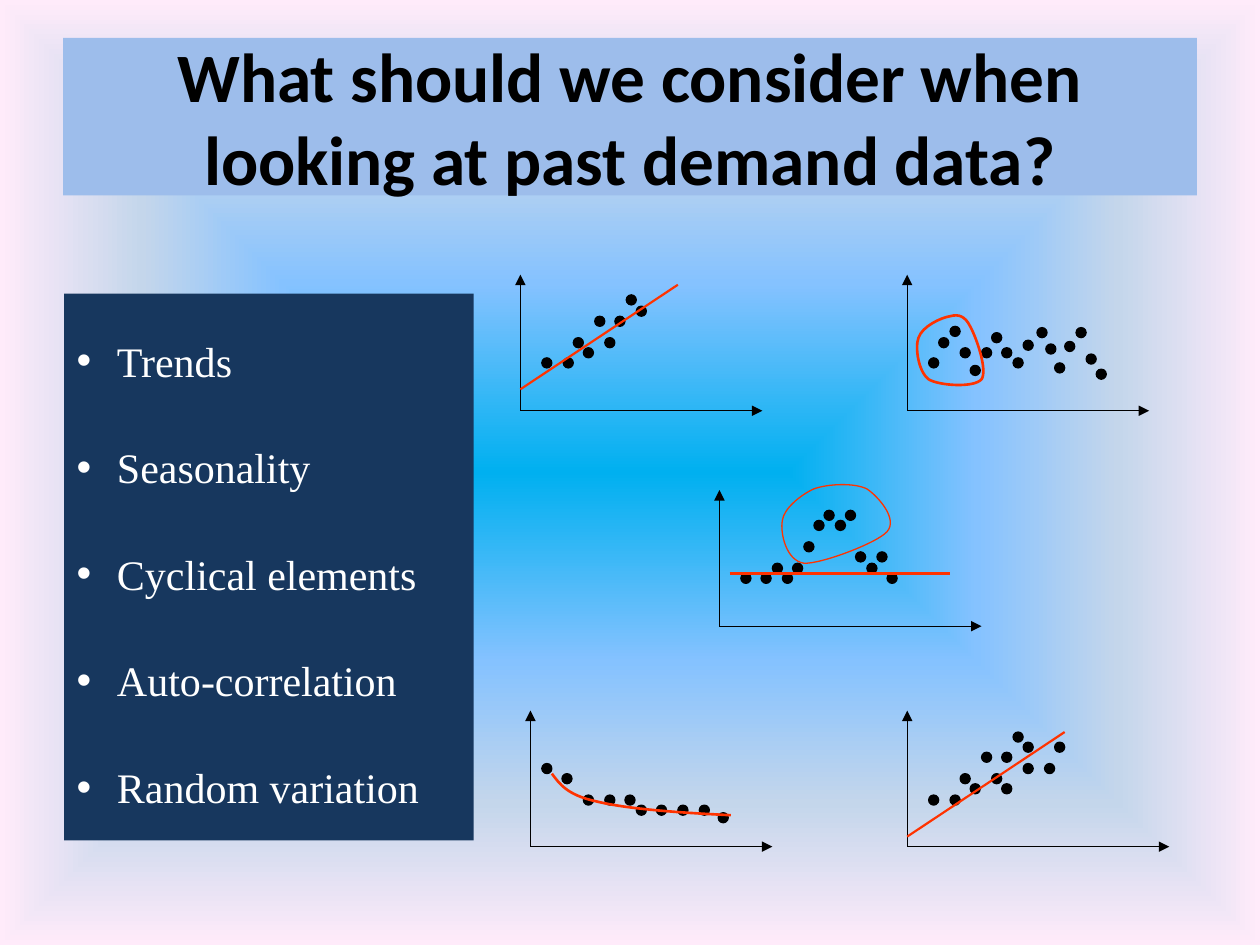
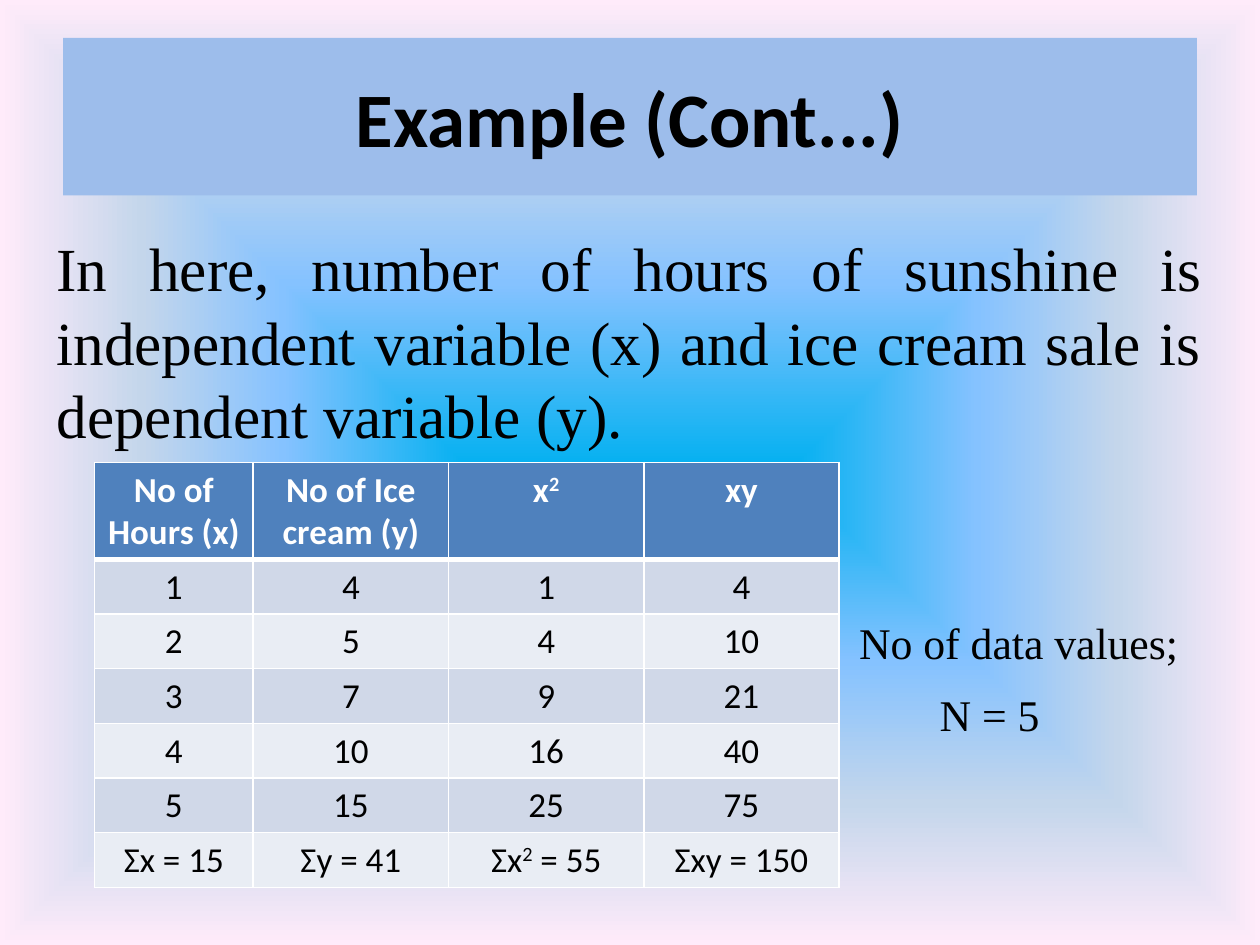
from lxml import etree
from pptx import Presentation
from pptx.dml.color import RGBColor
from pptx.enum.shapes import MSO_CONNECTOR, MSO_SHAPE
from pptx.enum.text import MSO_ANCHOR, MSO_AUTO_SIZE, PP_ALIGN
from pptx.oxml import parse_xml
from pptx.oxml.ns import nsdecls, qn
from pptx.util import Inches, Pt

STRAIGHT = MSO_CONNECTOR.STRAIGHT
RECTANGLE, OVAL = MSO_SHAPE.RECTANGLE, MSO_SHAPE.OVAL
TOP, MIDDLE, NO_FIT = MSO_ANCHOR.TOP, MSO_ANCHOR.MIDDLE, MSO_AUTO_SIZE.NONE
LEFT, CENTER, JUSTIFY = PP_ALIGN.LEFT, PP_ALIGN.CENTER, PP_ALIGN.JUSTIFY

BLACK, WHITE, RED = "000000", "FFFFFF", "FF3300"
TITLE_BLUE, NAVY = "9DBDEB", "17375E"
HEADER_BLUE, BAND_DARK, BAND_LIGHT = "4F81BD", "D0D8E8", "E9EDF4"
BACKGROUND_STOPS = [(0, "00B0F0"), (40, "85C2FF"), (70, "C4D6EB"), (100, "FFEBFA")]
HEADING_FONT, BODY_FONT = "Calibri", "Times New Roman"

TITLE_BOX = (0.5, 0.3, 9, 1.25)
DOT = 0.08

BULLETS = ["Trends", "Seasonality", "Cyclical elements", "Auto-correlation",
           "Random variation"]

# Each plot: origin, length of the x axis, dot centres measured right and up
# from the origin, then red marks. A curve is (line width, first point, rest),
# where the rest runs in threes: two control points and an end point.
PLOTS = [
    {"origin": (4.13, 3.26), "across": 1.92,
     "dots": [(.21, .38), (.38, .38), (.46, .54), (.54, .46), (.63, .71),
              (.71, .54), (.88, .88), (.79, .71), (.96, .79)],
     "lines": [(1.25, (0, .17), (1.25, 1))]},
    {"origin": (7.2, 3.26), "across": 1.92,
     "dots": [(.21, .38), (.29, .54), (.38, .63), (.46, .46), (.63, .46),
              (.54, .32), (.88, .38), (.71, .58), (.79, .46), (.96, .52),
              (1.07, .62), (1.14, .49), (1.29, .51), (1.21, .34), (1.54, .29),
              (1.38, .62), (1.46, .41)],
     "curves": [(1.5, (.09, .58), [(.06, .5), (.09, .31), (.17, .25),
                                   (.25, .2), (.53, .18), (.59, .25),
                                   (.64, .32), (.55, .58), (.5, .67),
                                   (.46, .75), (.41, .77), (.34, .75),
                                   (.27, .74), (.12, .67), (.09, .58)])]},
    {"origin": (5.71, 4.97), "across": 2.08,
     "dots": [(.21, .38), (.37, .38), (.46, .46), (.54, .38), (.62, .46),
              (.87, .88), (.79, .8), (.96, .8), (.71, .63), (1.04, .88),
              (1.12, .55), (1.21, .46), (1.29, .55), (1.37, .38)],
     "lines": [(1.5, (.08, .42), (1.83, .42))],
     "curves": [(.75, (.75, 1.09), [(.64, 1.04), (.51, .93), (.5, .84),
                                    (.48, .74), (.53, .52), (.67, .5),
                                    (.8, .49), (1.25, .66), (1.33, .75),
                                    (1.42, .85), (1.26, 1.03), (1.17, 1.09),
                                    (1.07, 1.14), (.86, 1.13), (.75, 1.09)])]},
    {"origin": (4.21, 6.72), "across": 1.92,
     "dots": [(.13, .62), (.29, .54), (.46, .37), (.63, .37), (.88, .29),
              (.79, .37), (1.04, .29), (1.21, .29), (1.38, .29), (1.53, .23)],
     "curves": [(1.5, (.17, .58), [(.23, .5), (.29, .41), (.52, .36),
                                   (.76, .3), (1.17, .27), (1.59, .25)])]},
    {"origin": (7.2, 6.72), "across": 2.08,
     "dots": [(.21, .37), (.38, .37), (.54, .46), (.71, .54), (.96, .79),
              (.46, .54), (.63, .71), (.88, .87), (.79, .71), (.79, .46),
              (.96, .62), (1.21, .79), (1.13, .62)],
     "lines": [(1.25, (0, .08), (1.25, .91))]},
]
AXIS_HEIGHT = 1.08

# "^2" marks a superscript two
SUMS = [
    ["No of Hours (x)", "No of Ice cream (y)", "x^2", "xy"],
    ["1", "4", "1", "4"],
    ["2", "5", "4", "10"],
    ["3", "7", "9", "21"],
    ["4", "10", "16", "40"],
    ["5", "15", "25", "75"],
    ["Σx = 15", "Σy = 41", "Σx^2 = 55", "Σxy = 150"],
]

# Text, size, left indent in inches, space before in points
EXPLANATION = [
    ("In here, number of hours of sunshine is independent variable (x) "
     "and ice cream sale is dependent variable (y).", 35, 0, 0),
    ("No of data values;", 25, 6.37, 94),
    ("N = 5", 25, 7.01, 11.5),
]


# Shared helpers
def color(value):
    return RGBColor.from_string(value)


def inches(*lengths):
    return [Inches(length) for length in lengths]


def set_font(font, name, size, fill, bold=False):
    font.name, font.size, font.bold = name, Pt(size), bold
    font.color.rgb = color(fill)


def paint(shape, fill, line=None, width=0.75):
    shape.shadow.inherit = False
    if fill:
        shape.fill.solid()
        shape.fill.fore_color.rgb = color(fill)
    else:
        shape.fill.background()
    if line:
        shape.line.color.rgb = color(line)
        shape.line.width = Pt(width)
    else:
        shape.line.fill.background()


def set_indent(paragraph, left, first=0):
    properties = paragraph._p.get_or_add_pPr()
    properties.set("marL", str(Inches(left)))
    properties.set("indent", str(Inches(first)))
    return properties


def set_background(master):
    master.background.fill.solid()
    bg = master.element.find(".//" + qn("p:bgPr"))
    stops = "".join(f'<a:gs pos="{at * 1000}"><a:srgbClr val="{value}"/></a:gs>'
                    for at, value in BACKGROUND_STOPS)
    gradient = parse_xml(
        f'<a:gradFill {nsdecls("a")} rotWithShape="1"><a:gsLst>{stops}</a:gsLst>'
        '<a:path path="shape"><a:fillToRect l="50000" t="50000" r="50000" b="50000"/>'
        '</a:path></a:gradFill>')
    bg.replace(bg.find(qn("a:solidFill")), gradient)


def add_titled_slide(prs, text, size):
    slide = prs.slides.add_slide(prs.slide_layouts[5])
    title = slide.shapes.title
    title.left, title.top, title.width, title.height = inches(*TITLE_BOX)
    title.fill.solid()
    title.fill.fore_color.rgb = color(TITLE_BLUE)
    frame = title.text_frame
    frame.text = text
    frame.word_wrap, frame.auto_size, frame.vertical_anchor = True, NO_FIT, MIDDLE
    frame.paragraphs[0].alignment = CENTER
    set_font(frame.paragraphs[0].runs[0].font, HEADING_FONT, size, BLACK, True)
    return slide


# Demand patterns
def add_bullets(slide, box):
    panel = slide.shapes.add_shape(RECTANGLE, *inches(*box))
    paint(panel, NAVY)
    frame = panel.text_frame
    frame.word_wrap, frame.vertical_anchor = True, TOP
    frame.text = "\n".join(BULLETS)
    for index, item in enumerate(frame.paragraphs):
        item.alignment, item.line_spacing = LEFT, 1.7
        item.space_before = Pt(12 if index else 0)
        properties = set_indent(item, 0.32, -0.32)
        etree.SubElement(properties, qn("a:buFont")).set("typeface", "Arial")
        etree.SubElement(properties, qn("a:buChar")).set("char", "•")
        set_font(item.runs[0].font, BODY_FONT, 24, WHITE)


def add_line(shapes, start, end, stroke, width, arrow=False):
    line = shapes.add_connector(STRAIGHT, *inches(*start, *end))
    line.line.color.rgb = color(stroke)
    line.line.width = Pt(width)
    properties = line._element.spPr
    if arrow:
        tip = etree.SubElement(properties.find(qn("a:ln")), qn("a:tailEnd"))
        tip.set("type", "triangle")
    etree.SubElement(properties, qn("a:effectLst"))


def add_curve(shapes, points, width):
    builder = shapes.build_freeform(*inches(*points[0]), scale=1.0)
    builder.add_line_segments([inches(*point) for point in points[1:]],
                              close=points[0] == points[-1])
    curve = builder.convert_to_shape()
    paint(curve, None, RED, width)
    # Merge every three straight segments into one Bézier segment
    segments = list(curve._element.iter(qn("a:lnTo")))
    for index in range(0, len(segments) - 2, 3):
        bezier = etree.Element(qn("a:cubicBezTo"))
        segments[index].addprevious(bezier)
        for segment in segments[index:index + 3]:
            bezier.append(segment[0])
            segment.getparent().remove(segment)


def add_plot(slide, origin, across, dots, lines=(), curves=()):
    def place(point):
        return origin[0] + point[0], origin[1] - point[1]

    shapes = slide.shapes.add_group_shape().shapes
    for tip in [(0, AXIS_HEIGHT), (across, 0)]:
        add_line(shapes, origin, place(tip), BLACK, 0.75, arrow=True)
    for dot in dots:
        x, y = place(dot)
        marker = shapes.add_shape(OVAL, *inches(x - DOT / 2, y - DOT / 2, DOT, DOT))
        paint(marker, BLACK, BLACK)
    for width, start, end in lines:
        add_line(shapes, place(start), place(end), RED, width)
    for width, start, rest in curves:
        add_curve(shapes, [place(point) for point in [start] + rest], width)


# Worked example
def add_explanation(slide, box):
    frame = slide.shapes.add_textbox(*inches(*box)).text_frame
    frame.word_wrap = True
    frame.text = "\n".join(text for text, *_ in EXPLANATION)
    for line, (_, size, indent, before) in zip(frame.paragraphs, EXPLANATION):
        line.alignment, line.space_before = JUSTIFY, Pt(before)
        set_indent(line, indent)
        set_font(line.runs[0].font, BODY_FONT, size, BLACK)


def set_borders(cell, top, bottom):
    properties = cell._tc.get_or_add_tcPr()
    sides = [("lnL", 1), ("lnR", 1), ("lnT", top), ("lnB", bottom)]
    for index, (side, width) in enumerate(sides):
        properties.insert(index, parse_xml(
            f'<a:{side} {nsdecls("a")} w="{Pt(width)}"><a:solidFill>'
            f'<a:srgbClr val="{WHITE}"/></a:solidFill></a:{side}>'))


def fill_cell(cell, text, row):
    header = row == 0
    cell.fill.solid()
    cell.fill.fore_color.rgb = color(
        HEADER_BLUE if header else BAND_DARK if row % 2 else BAND_LIGHT)
    set_borders(cell, 3 if row == 1 else 1, 3 if header else 1)
    paragraph = cell.text_frame.paragraphs[0]
    paragraph.alignment = CENTER
    base, power, rest = text.partition("^2")
    for piece in filter(None, [base, power, rest]):
        run = paragraph.add_run()
        run.text = piece.lstrip("^")
        set_font(run.font, HEADING_FONT, 20, WHITE if header else BLACK, header)
        if piece == power:
            run._r.get_or_add_rPr().set("baseline", "30000")


def add_sums_table(slide, box):
    table = slide.shapes.add_table(len(SUMS), len(SUMS[0]), *inches(*box)).table
    for column, width in zip(table.columns, [1.26] + [1.55] * 3):
        column.width = Inches(width)
    for row, height in zip(table.rows, [0.77] + [0.43] * 6):
        row.height = Inches(height)
    for r, values in enumerate(SUMS):
        for c, text in enumerate(values):
            fill_cell(table.cell(r, c), text, r)


def build_demand_slide(prs):
    slide = add_titled_slide(
        prs, "What should we consider when looking at past demand data?", 39.6)
    add_bullets(slide, (0.51, 2.33, 3.25, 4.34))
    for plot in PLOTS:
        add_plot(slide, **plot)


def build_example_slide(prs):
    slide = add_titled_slide(prs, "Example (Cont...)", 44)
    add_explanation(slide, (0.35, 1.78, 9.29, 5.4))
    add_sums_table(slide, (0.75, 3.67, 5.91, 3.37))


def main():
    prs = Presentation()
    prs.slide_width, prs.slide_height = inches(10, 7.5)
    set_background(prs.slide_master)
    build_demand_slide(prs)
    build_example_slide(prs)
    prs.save("out.pptx")


if __name__ == "__main__":
    main()
